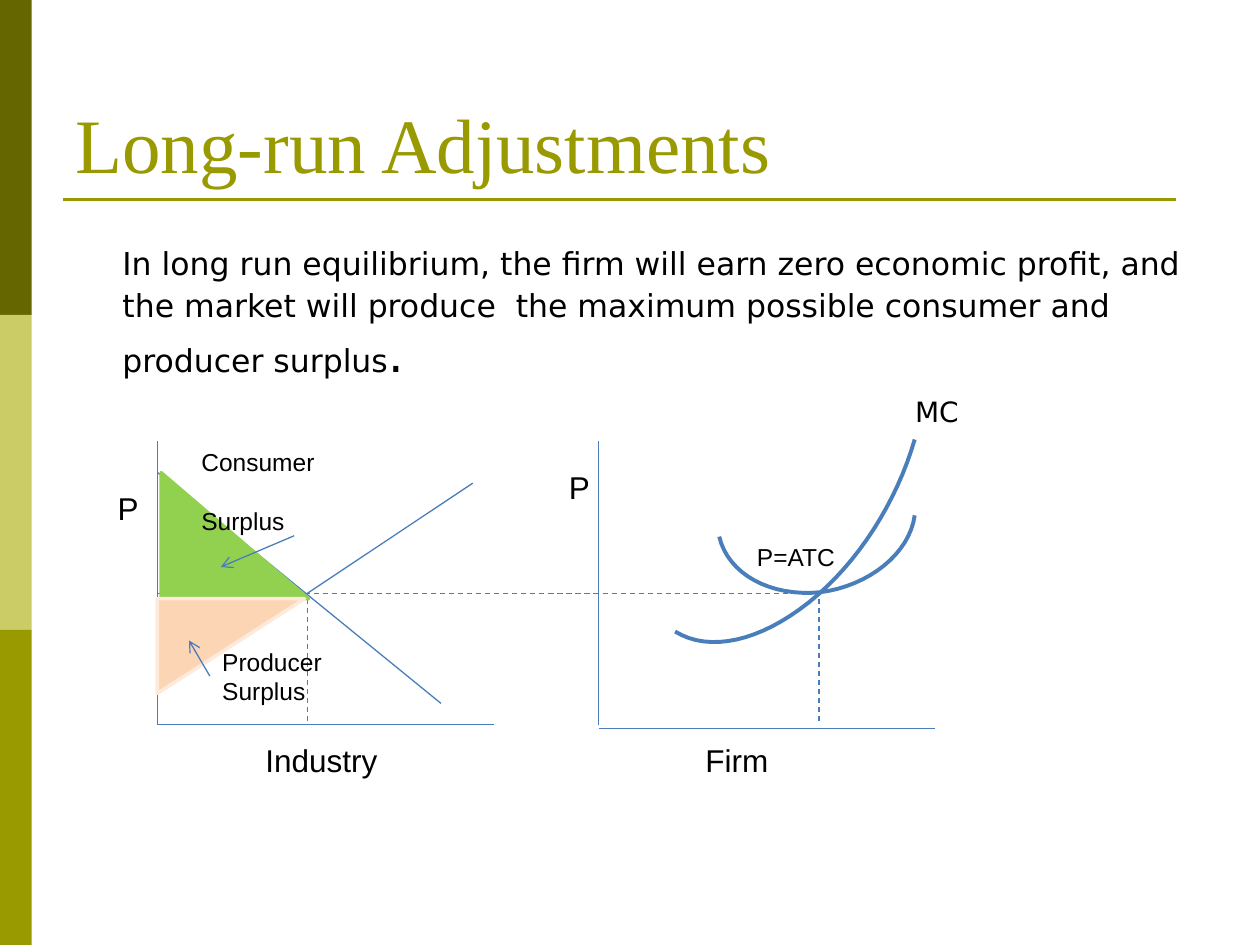
import pptx
import pptx.dml.color
import pptx.enum.dml
import pptx.enum.shapes
import pptx.enum.text
import pptx.oxml
import pptx.util
from pptx.util import Cm

SHAPE = pptx.enum.shapes.MSO_SHAPE
ANCHOR = pptx.enum.text.MSO_ANCHOR
BLUE, OLIVE, BLACK = "4A7EBB", "999900", "000000"


def paint(color_format, color):
    color_format.rgb = pptx.dml.color.RGBColor.from_string(color)


def set_line(line, color, width):
    line.width = pptx.util.Pt(width)
    line.fill.solid()
    paint(line.color, color)


def set_font(font, size, name, color=BLACK):
    font.size = pptx.util.Pt(size)
    font.name = name
    paint(font.color, color)


def add_line(slide, x1, y1, x2, y2, color=BLUE, width=0.75, dashed=False, arrow=False):
    connector = slide.shapes.add_connector(
        pptx.enum.shapes.MSO_CONNECTOR.STRAIGHT, Cm(x1), Cm(y1), Cm(x2), Cm(y2))
    set_line(connector.line, color, width)
    if dashed:
        connector.line.dash_style = pptx.enum.dml.MSO_LINE.DASH
    properties = connector._element.spPr
    if arrow:
        tail = pptx.oxml.ns.qn("a:tailEnd")
        connector.line._get_or_add_ln().makeelement(tail)
        pptx.oxml.xmlchemy.OxmlElement("a:tailEnd")
        end = pptx.oxml.xmlchemy.OxmlElement("a:tailEnd")
        end.set("type", "arrow")
        connector.line._get_or_add_ln().append(end)
    properties.append(pptx.oxml.xmlchemy.OxmlElement("a:effectLst"))


def add_area(slide, kind, x, y, width, height, fill, outline=None, rotation=0):
    area = slide.shapes.add_shape(kind, Cm(x), Cm(y), Cm(width), Cm(height))
    area.shadow.inherit = False
    area.rotation = rotation
    area.fill.solid()
    paint(area.fill.fore_color, fill)
    if outline:
        set_line(area.line, outline, 2)
    else:
        area.line.fill.background()


def bezier(p0, p1, p2, p3, steps=16):
    """Points along a cubic curve, without its start."""
    points = []
    for step in range(1, steps + 1):
        t = step / steps
        weights = ((1 - t) ** 3, 3 * t * (1 - t) ** 2, 3 * t ** 2 * (1 - t), t ** 3)
        points.append(tuple(
            Cm(sum(w * p[axis] for w, p in zip(weights, (p0, p1, p2, p3))))
            for axis in (0, 1)))
    return points


def add_curve(slide, knots):
    builder = slide.shapes.build_freeform(Cm(knots[0][0]), Cm(knots[0][1]))
    for first in range(0, len(knots) - 1, 3):
        builder.add_line_segments(bezier(*knots[first:first + 4]), close=False)
    curve = builder.convert_to_shape()
    curve.shadow.inherit = False
    curve.fill.background()
    set_line(curve.line, BLUE, 2.25)


def add_text(slide, text, x, y, width, height, size, name="Arial", color=BLACK,
             wrap=False, anchor=ANCHOR.TOP):
    frame = slide.shapes.add_textbox(Cm(x), Cm(y), Cm(width), Cm(height)).text_frame
    frame.word_wrap = wrap
    frame.vertical_anchor = anchor
    paragraph = frame.paragraphs[0]
    paragraph.text = text
    set_font(paragraph.font, size, name, color)


def add_statement(slide):
    frame = slide.shapes.add_textbox(Cm(1.27), Cm(4.45), Cm(22.86), Cm(12.57)).text_frame
    frame.word_wrap = True
    paragraph = frame.paragraphs[0]
    indent = paragraph._p.get_or_add_pPr()
    indent.set("marL", str(Cm(0.95)))
    indent.set("indent", str(Cm(-0.95)))
    sentence = ("In long run equilibrium, the firm will earn zero economic profit, "
                "and the market will produce  the maximum possible consumer and "
                "producer surplus")
    for text, size in (("\t", 28), (sentence, 18), (".", 28)):
        run = paragraph.add_run()
        run.text = text
        set_font(run.font, size, "DejaVu Sans")


def main():
    deck = pptx.Presentation()
    deck.slide_width, deck.slide_height = Cm(25.4), Cm(19.05)
    slide = deck.slides.add_slide(deck.slide_layouts[6])

    # Side band and title rule
    for index, color in enumerate(("666600", "CCCC66", OLIVE)):
        add_area(slide, SHAPE.RECTANGLE, 0, index * 6.35, 0.64, 6.35, color)
    add_line(slide, 1.27, 4.02, 23.7, 4.02, OLIVE, 1.5)

    # Title and statement
    add_text(slide, "Long-run Adjustments", 1.27, 0.76, 22.86, 3.18, 44,
             "Times New Roman", OLIVE, wrap=True, anchor=ANCHOR.BOTTOM)
    add_statement(slide)

    # Axes, then demand and supply
    for ends in ((3.18, 8.89, 3.18, 14.61), (3.18, 14.61, 9.95, 14.61),
                 (12.07, 8.89, 12.07, 14.61), (12.07, 14.69, 18.84, 14.69),
                 (3.18, 9.53, 8.89, 14.18), (3.18, 13.97, 9.53, 9.74)):
        add_line(slide, *ends)

    # Equilibrium price and quantities
    for ends in ((3.18, 11.96, 6.14, 11.96), (6.14, 11.96, 16.51, 11.96),
                 (6.2, 12.07, 6.2, 14.61), (16.51, 12.07, 16.51, 14.61)):
        add_line(slide, *ends, dashed=True)

    # Average total cost and marginal cost
    add_curve(slide, ((18.44, 10.39), (18.34, 11.15), (17.53, 11.81), (16.54, 11.94),
                      (15.54, 12.04), (14.68, 11.58), (14.5, 10.82)))
    add_curve(slide, ((18.44, 8.86), (18.08, 10.11), (17.3, 11.35), (16.31, 12.14),
                      (15.32, 12.93), (14.3, 13.16), (13.61, 12.73)))

    # Consumer and producer surplus
    add_area(slide, SHAPE.RIGHT_TRIANGLE, 3.25, 9.53, 2.97, 2.54, "92D050", "92D050")
    add_area(slide, SHAPE.RIGHT_TRIANGLE, 3.7, 11.54, 1.91, 2.97, "FCD5B5", "FDEADA", 90)
    add_line(slide, 5.93, 10.8, 4.45, 11.43, arrow=True)
    add_line(slide, 4.23, 13.63, 3.81, 12.91, arrow=True)

    # Labels
    add_text(slide, "MC", 18.2, 7.82, 2.12, 1.69, 16, "DejaVu Sans", wrap=True)
    for label in (("Consumer \nSurplus", 3.81, 8.89, 2.92, 1.45, 14),
                  ("Producer\nSurplus", 4.23, 12.91, 2.51, 1.45, 14),
                  ("P=ATC", 15.01, 10.8, 2.11, 0.86, 14),
                  ("Industry", 5.1, 14.82, 2.77, 1.02, 18),
                  ("Firm", 13.97, 14.82, 1.78, 1.02, 18),
                  ("P", 11.22, 9.31, 0.91, 1.02, 18),
                  ("P", 2.12, 9.74, 0.94, 1.02, 18)):
        add_text(slide, *label)

    deck.save("out.pptx")


if __name__ == "__main__":
    main()
